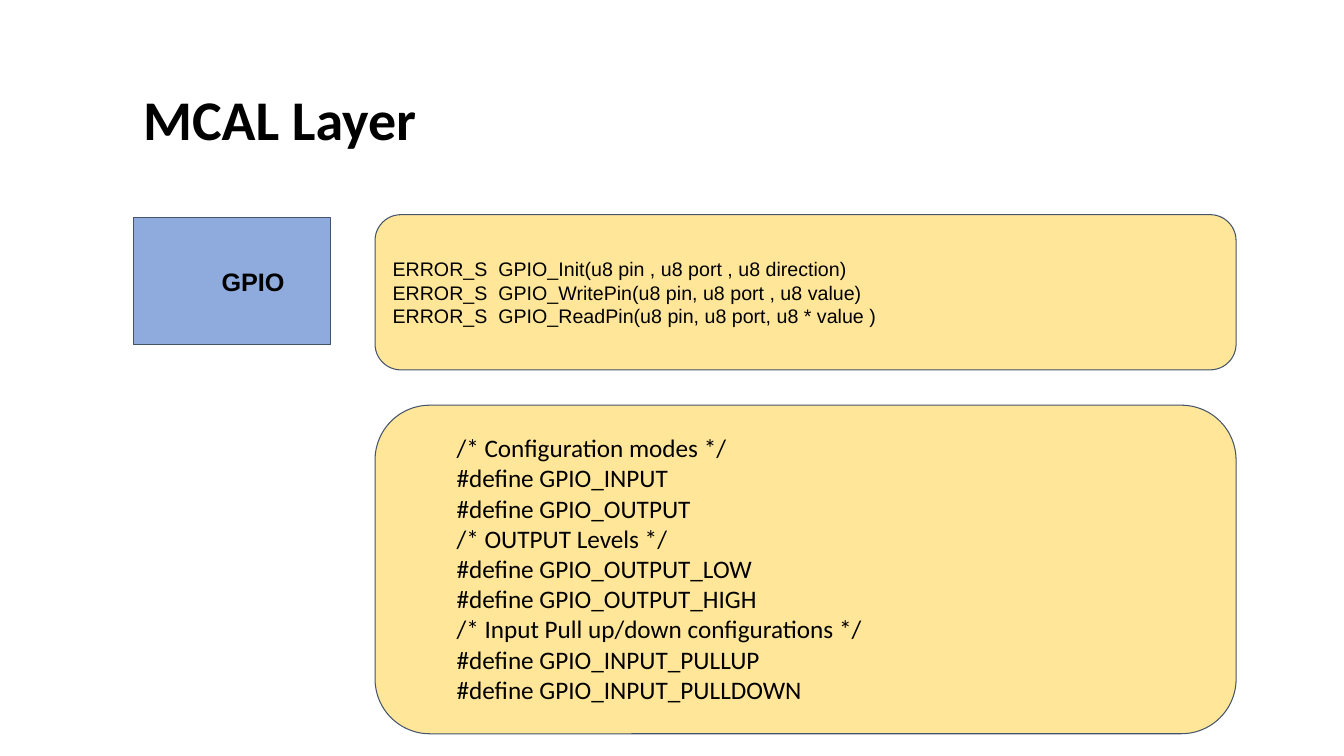
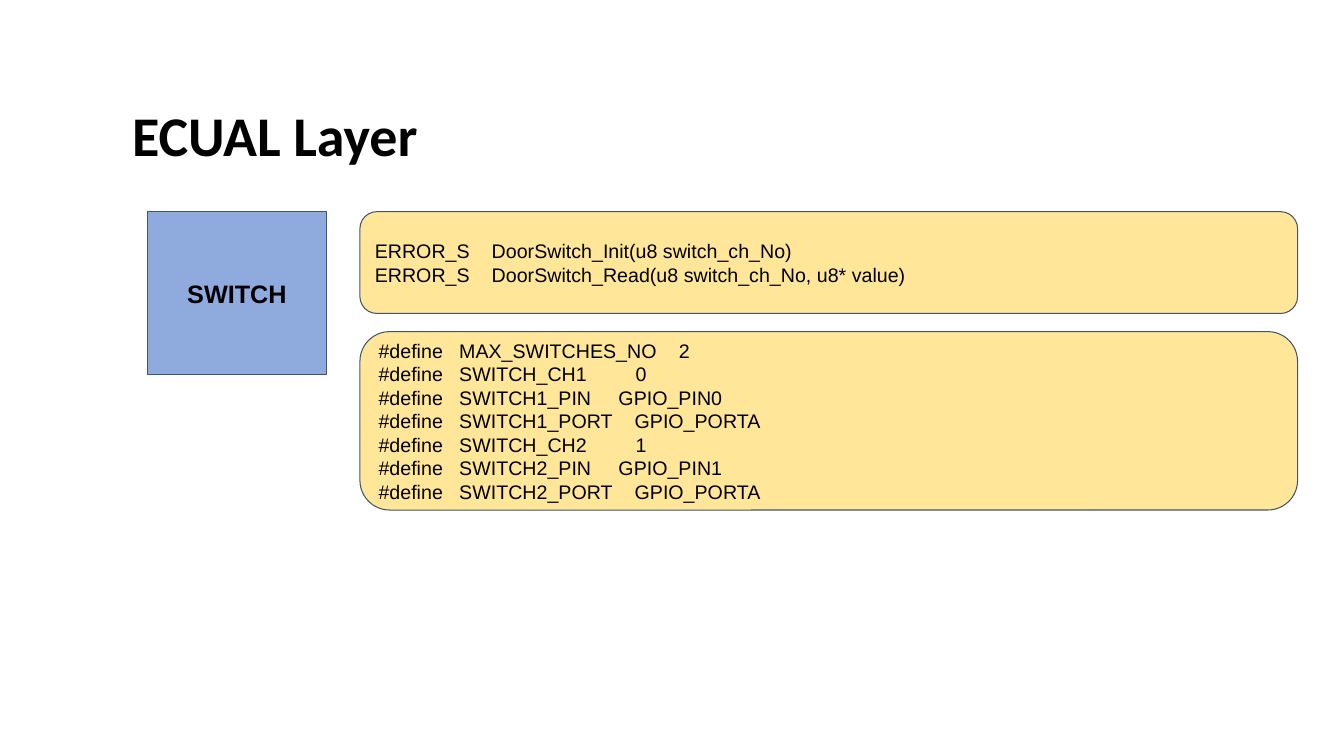
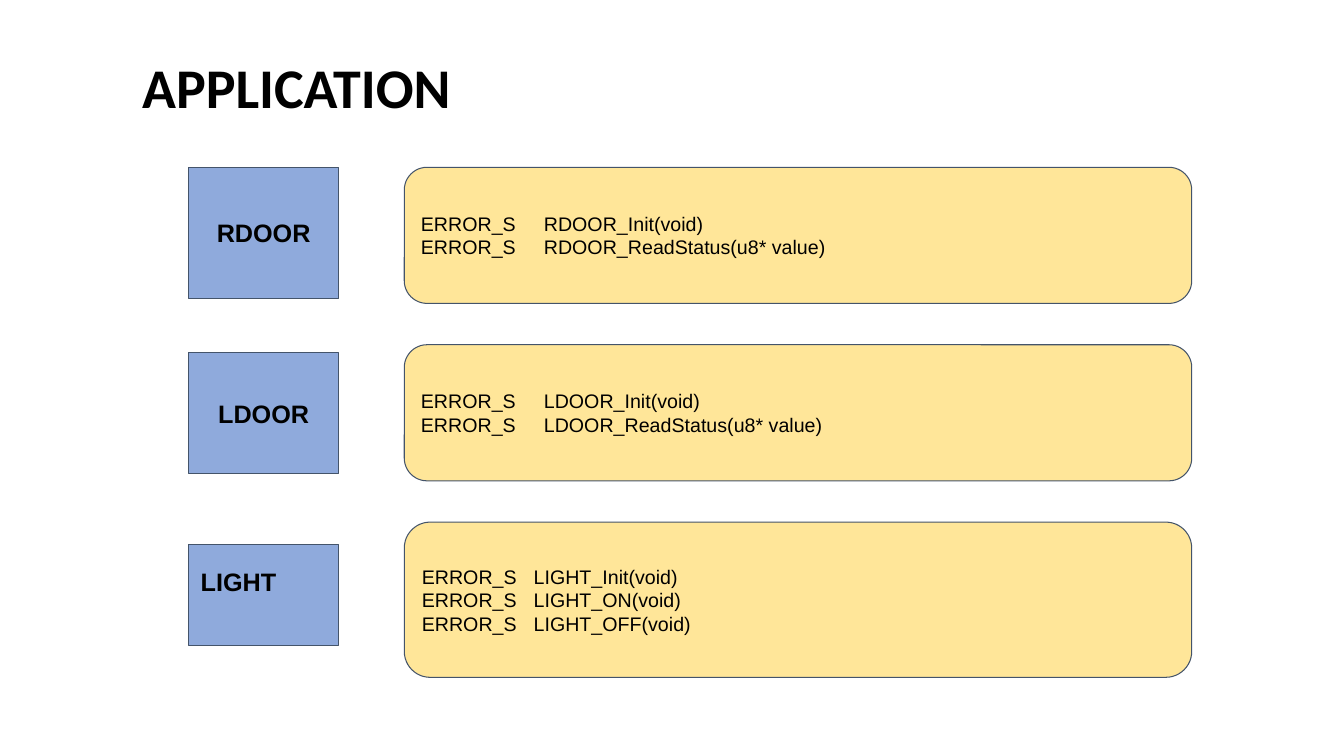
import pptx
import pptx.util
import pptx.dml.color
import pptx.enum.shapes
import pptx.enum.text
import pptx.oxml.ns
from dataclasses import dataclass
from lxml import etree
from pptx.util import Inches

Shape = pptx.enum.shapes.MSO_SHAPE
Align = pptx.enum.text.PP_ALIGN
Anchor = pptx.enum.text.MSO_ANCHOR


@dataclass
class Theme:
    tag: str = "8FAADC"
    card: str = "FFE699"
    edge: str = "44546A"
    ink: str = "000000"
    head: str = "Calibri"
    body: str = "Arial"
    big: int = 40
    mid: int = 18
    small: int = 14
    line: float = 0.75
    pad: float = 0.1


theme = Theme()

MODES = [
    "/* Configuration modes */",
    "#define GPIO_INPUT",
    "#define GPIO_OUTPUT",
    "/* OUTPUT Levels */",
    "#define GPIO_OUTPUT_LOW",
    "#define GPIO_OUTPUT_HIGH",
    "/* Input Pull up/down configurations */",
    "#define GPIO_INPUT_PULLUP",
    "#define GPIO_INPUT_PULLDOWN",
]

CALLS = {
    "GPIO": ["GPIO_Init(u8 pin , u8 port , u8 direction)",
             "GPIO_WritePin(u8 pin, u8 port , u8 value)",
             "GPIO_ReadPin(u8 pin, u8 port, u8 * value )"],
    "SWITCH": ["DoorSwitch_Init(u8 switch_ch_No)",
               "DoorSwitch_Read(u8 switch_ch_No, u8* value)"],
    "RDOOR": ["RDOOR_Init(void)", "RDOOR_ReadStatus(u8* value)"],
    "LDOOR": ["LDOOR_Init(void)", "LDOOR_ReadStatus(u8* value)"],
    "LIGHT": ["LIGHT_Init(void)", "LIGHT_ON(void)", "LIGHT_OFF(void)"],
}

PINS = [
    ("MAX_SWITCHES_NO", "2", 2.98),
    ("SWITCH_CH1", "0", 2.55),
    ("SWITCH1_PIN", "GPIO_PIN0", 2.38),
    ("SWITCH1_PORT", "GPIO_PORTA", 2.54),
    ("SWITCH_CH2", "1", 2.55),
    ("SWITCH2_PIN", "GPIO_PIN1", 2.38),
    ("SWITCH2_PORT", "GPIO_PORTA", 2.54),
]

DOORS = [
    ("RDOOR", 1.66, 1.3, 1.66, 1.35, 1.22),
    ("LDOOR", 3.5, 1.2, 3.42, 1.35, 1.22),
    ("LIGHT", 5.4, 1, 5.18, 1.54, 1.11),
]


def color(code):
    return pptx.dml.color.RGBColor.from_string(code)


def write(frame, lines, font, size, bold=False, align=Align.LEFT):
    frame.word_wrap = True
    for num, (text, stops) in enumerate(lines):
        para = frame.add_paragraph() if num else frame.paragraphs[0]
        para.alignment = align
        if stops:
            tag = pptx.oxml.ns.qn
            tabs = etree.SubElement(para._p.get_or_add_pPr(), tag("a:tabLst"))
            for stop in stops:
                etree.SubElement(tabs, tag("a:tab"), pos=str(Inches(stop)), algn="l")
        run = para.add_run()
        run.text = text
        run.font.name = font
        run.font.size = pptx.util.Pt(size)
        run.font.bold = bold
        run.font.color.rgb = color(theme.ink)


def start(deck, title, box):
    slide = deck.slides.add_slide(deck.slide_layouts[5])
    head = slide.shapes.title
    head.left, head.top, head.width, head.height = map(Inches, box)
    frame = head.text_frame
    frame.auto_size = pptx.enum.text.MSO_AUTO_SIZE.NONE
    frame.vertical_anchor = Anchor.TOP
    write(frame, [(title, ())], theme.head, theme.big, True)
    return slide


def panel(slide, kind, box, fill):
    shape = slide.shapes.add_shape(kind, *map(Inches, box))
    shape.shadow.inherit = False
    shape.fill.solid()
    shape.fill.fore_color.rgb = color(fill)
    shape.line.color.rgb = color(theme.edge)
    shape.line.width = pptx.util.Pt(theme.line)
    frame = shape.text_frame
    frame.vertical_anchor = Anchor.MIDDLE
    pad = Inches(theme.pad)
    frame.margin_left = frame.margin_right = pad
    frame.margin_top = frame.margin_bottom = pad
    return frame


def label(slide, name, box, align=Align.CENTER, left=theme.pad, low=theme.pad):
    frame = panel(slide, Shape.RECTANGLE, box, theme.tag)
    frame.margin_left = Inches(left)
    frame.margin_bottom = Inches(low)
    write(frame, [(name, ())], theme.body, theme.mid, True, align)


def card(slide, box, lines):
    frame = panel(slide, Shape.ROUNDED_RECTANGLE, box, theme.card)
    write(frame, lines, theme.body, theme.small)


def calls(name, stop):
    return [("ERROR_S\t" + call, (stop,)) for call in CALLS[name]]


deck = pptx.Presentation()
deck.slide_width, deck.slide_height = Inches(13.33), Inches(7.5)

mcal = start(deck, "MCAL Layer", (1.32, 0.79, 6.68, 0.77))
label(mcal, "GPIO", (1.32, 2.16, 1.96, 1.26), left=0.52)
card(mcal, (3.72, 2.13, 8.54, 1.54), calls("GPIO", 1.05))
panel(mcal, Shape.ROUNDED_RECTANGLE, (3.72, 4.02, 8.54, 3.26), theme.card)
modes = mcal.shapes.add_textbox(*map(Inches, (4.43, 4.24, 4.99, 2.83)))
write(modes.text_frame, [(mode, ()) for mode in MODES], theme.head, theme.mid)

ecual = start(deck, "ECUAL Layer", (1.21, 0.95, 4.26, 0.77))
label(ecual, "SWITCH", (1.46, 2.1, 1.78, 1.62))
card(ecual, (3.57, 2.1, 9.3, 1.01), calls("SWITCH", 1.16))
card(ecual, (3.57, 3.29, 9.3, 1.77),
     [(f"#define\t{name}\t{value}", (0.8, stop)) for name, value, stop in PINS])

app = start(deck, "APPLICATION", (1.31, 0.47, 4.54, 0.77))
for name, top, high, row, tall, stop in DOORS:
    look = {"align": Align.LEFT, "left": 0.12, "low": 0.36} if name == "LIGHT" else {}
    label(app, name, (1.87, top, 1.49, high), **look)
    card(app, (4.01, row, 7.81, tall), calls(name, stop))

deck.save("out.pptx")
